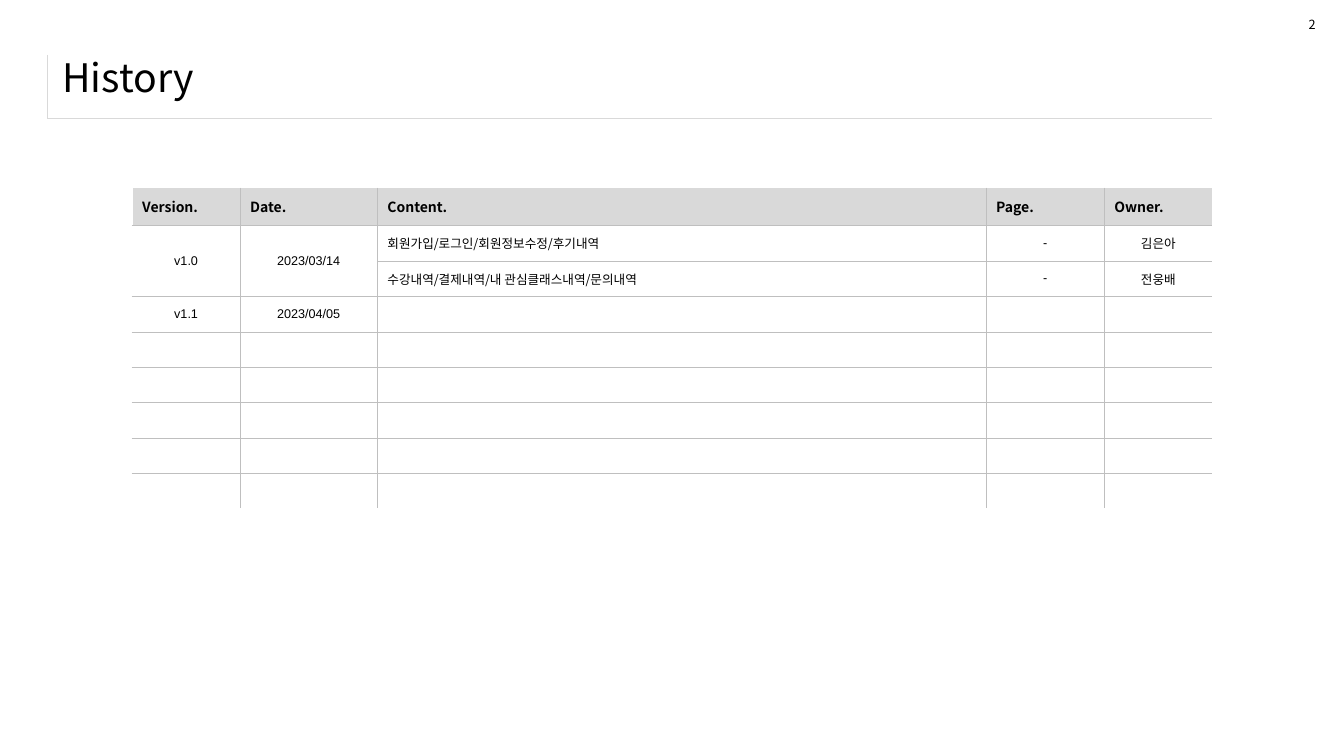
from dataclasses import dataclass

from lxml import etree
from pptx import Presentation
from pptx.dml.color import RGBColor
from pptx.enum.text import MSO_ANCHOR, MSO_AUTO_SIZE, PP_ALIGN
from pptx.oxml.ns import qn
from pptx.util import Cm, Pt

MIDDLE = MSO_ANCHOR.MIDDLE
NO_AUTOFIT, GROW = MSO_AUTO_SIZE.NONE, MSO_AUTO_SIZE.SHAPE_TO_FIT_TEXT
LEFT, CENTER = PP_ALIGN.LEFT, PP_ALIGN.CENTER

TITLE = "History"
PAGE_NUMBER = "2"
HEADINGS = ("Version.", "Date.", "Content.", "Page.", "Owner.")
REVISIONS = [
    ("v1.0", "2023/03/14", "회원가입/로그인/회원정보수정/후기내역", "-", "김은아"),
    ("", "", "수강내역/결제내역/내 관심클래스내역/문의내역", "-", "전웅배"),
    ("v1.1", "2023/04/05", "", "", ""),
]
BODY_ROWS = 8
CONTENT_COLUMN = 2
KOREAN_COLUMNS = (2, 4)
SHARED_COLUMNS = (0, 1)

COLUMN_WIDTHS = (2.72, 3.46, 15.34, 2.98, 2.72)
HISTORY_LEFT, HISTORY_TOP, HISTORY_HEIGHT = 3.33, 4.73, 8.1
HEADER_HEIGHT = 0.95
FRAME_LEFT, FRAME_TOP, FRAME_WIDTH, FRAME_HEIGHT = 1.19, 1.38, 29.36, 1.35


@dataclass(frozen=True)
class Theme:
    korean: str = "Noto Sans CJK KR"
    latin: str = "Arial"
    text: str = "000000"
    header: str = "D9D9D9"
    rule: str = "D9D9D9"
    grid: str = "BFBFBF"
    paper: str = "FFFFFF"
    title_size: float = 28
    frame_size: float = 31
    header_size: float = 10
    body_size: float = 9
    hairline: float = 0.25
    edge: float = 1


THEME = Theme()


def write(paragraph, words, size, face=THEME.korean, bold=False, align=LEFT):
    paragraph.alignment = align
    if not words:
        end = etree.SubElement(paragraph._p, qn("a:endParaRPr"))
        end.set("sz", str(int(size * 100)))
        return
    run = paragraph.add_run()
    run.text = words
    run.font.size = Pt(size)
    run.font.bold = bold
    run.font.name = face
    run.font.color.rgb = RGBColor.from_string(THEME.text)
    east_asian = etree.SubElement(run._r.get_or_add_rPr(), qn("a:ea"))
    east_asian.set("typeface", face)


def set_borders(cell, left=None, right=None, top=None, bottom=None):
    for side, line in zip("LRTB", (left, right, top, bottom)):
        border = etree.SubElement(cell._tc.get_or_add_tcPr(), qn(f"a:ln{side}"))
        if line is None:
            etree.SubElement(border, qn("a:noFill"))
            continue
        color, width = line
        border.set("w", str(Pt(width)))
        fill = etree.SubElement(border, qn("a:solidFill"))
        etree.SubElement(fill, qn("a:srgbClr")).set("val", color)


def add_plain_table(slide, rows, columns, left, top, width, height):
    table = slide.shapes.add_table(
        rows, columns, Cm(left), Cm(top), Cm(width), Cm(height)
    ).table
    table.first_row = table.horz_banding = False
    return table


def add_title(slide):
    frame = add_plain_table(slide, 1, 1, FRAME_LEFT, FRAME_TOP, FRAME_WIDTH, FRAME_HEIGHT)
    corner = frame.cell(0, 0)
    rule = (THEME.rule, THEME.hairline)
    set_borders(corner, left=rule, bottom=rule)
    corner.fill.background()
    write(corner.text_frame.paragraphs[0], "", THEME.frame_size)

    title = slide.shapes.title
    title.left, title.top, title.width, title.height = Cm(1.32), Cm(1.13), Cm(31.72), Cm(1.6)
    title.text_frame.auto_size = NO_AUTOFIT
    title.text_frame.vertical_anchor = MIDDLE
    write(title.text_frame.paragraphs[0], TITLE, THEME.title_size)


def add_history(slide):
    columns = len(HEADINGS)
    history = add_plain_table(
        slide, BODY_ROWS + 1, columns,
        HISTORY_LEFT, HISTORY_TOP, sum(COLUMN_WIDTHS), HISTORY_HEIGHT,
    )
    for column, width in zip(history.columns, COLUMN_WIDTHS):
        column.width = Cm(width)
    body_height = (HISTORY_HEIGHT - HEADER_HEIGHT) / BODY_ROWS
    for r, row in enumerate(history.rows):
        row.height = Cm(body_height if r else HEADER_HEIGHT)

    blanks = [("",) * columns] * (BODY_ROWS - len(REVISIONS))
    grid, edge = (THEME.grid, THEME.hairline), (THEME.paper, THEME.edge)
    for r, entries in enumerate([HEADINGS, *REVISIONS, *blanks]):
        for c, words in enumerate(entries):
            cell = history.cell(r, c)
            cell.vertical_anchor = MIDDLE
            set_borders(
                cell,
                left=grid if c else edge,
                right=grid if c < columns - 1 else None,
                top=grid if r else None,
                bottom=grid if r < BODY_ROWS else edge,
            )
            paragraph = cell.text_frame.paragraphs[0]
            if r == 0:
                cell.fill.solid()
                cell.fill.fore_color.rgb = RGBColor.from_string(THEME.header)
                write(paragraph, words, THEME.header_size, bold=True)
            else:
                cell.fill.background()
                face = THEME.korean if c in KOREAN_COLUMNS else THEME.latin
                align = LEFT if c == CONTENT_COLUMN else CENTER
                write(paragraph, words, THEME.body_size, face, align=align)
    for c in SHARED_COLUMNS:
        history.cell(1, c).merge(history.cell(2, c))


def add_page_number(slide):
    number = slide.shapes.add_textbox(Cm(32.73), Cm(0.3), Cm(0.69), Cm(0.64))
    number.text_frame.word_wrap = False
    number.text_frame.auto_size = GROW
    write(number.text_frame.paragraphs[0], PAGE_NUMBER, THEME.body_size)


def main():
    deck = Presentation()
    deck.slide_width, deck.slide_height = Cm(33.87), Cm(19.05)
    slide = deck.slides.add_slide(deck.slide_layouts[5])
    add_title(slide)
    add_history(slide)
    add_page_number(slide)
    deck.save("out.pptx")


if __name__ == "__main__":
    main()
